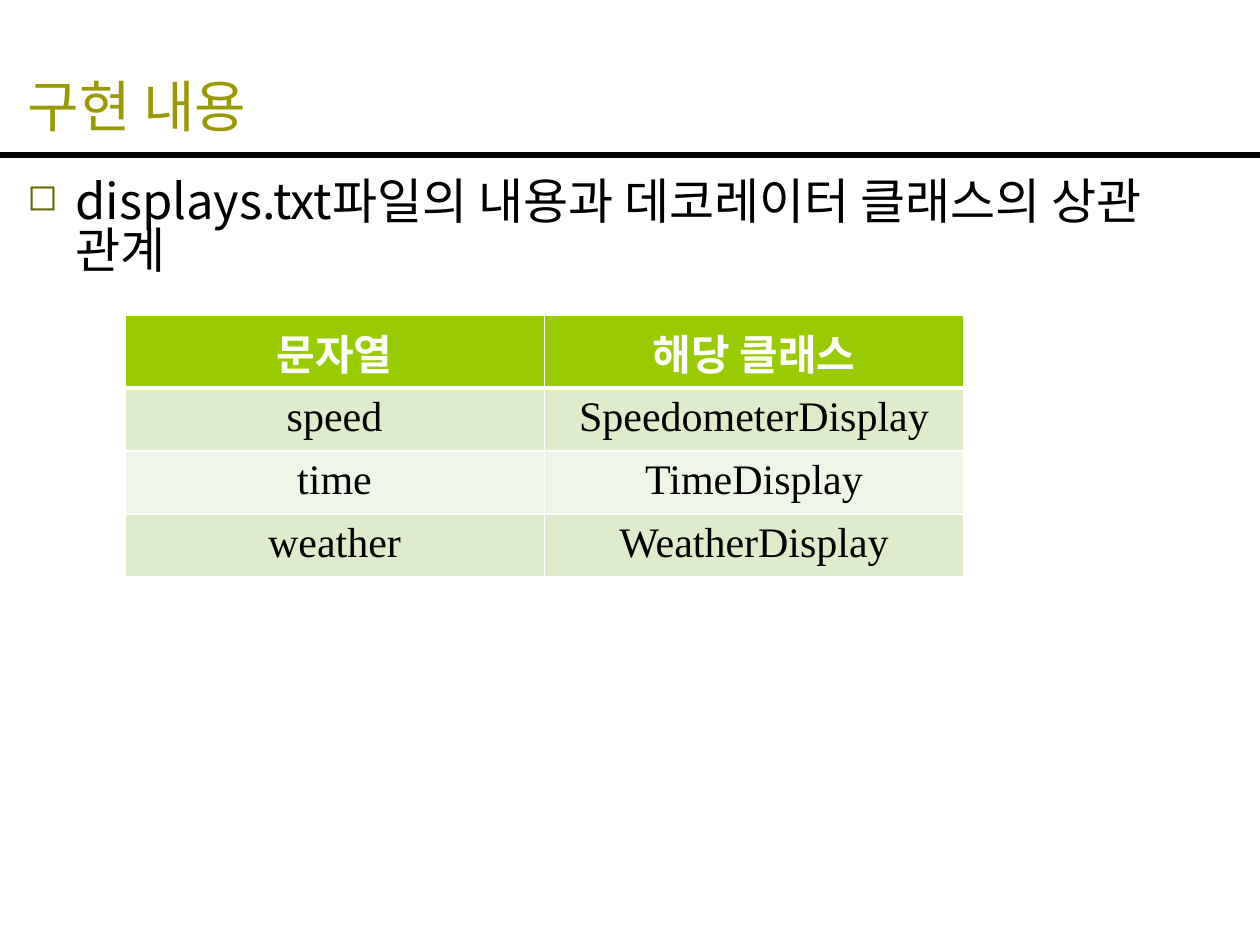
from lxml import etree
from pptx import Presentation
from pptx.dml.color import RGBColor
from pptx.enum import shapes, text
from pptx.oxml import ns
from pptx.util import Inches, Pt

# Content
TITLE = "구현 내용"
POINT = "displays.txt파일의 내용과 데코레이터 클래스의 상관 관계"
CLASS_MAP = [
    ("문자열", "해당 클래스"),
    ("speed", "SpeedometerDisplay"),
    ("time", "TimeDisplay"),
    ("weather", "WeatherDisplay"),
]

THEME = dict(
    title="999900", ink="000000", bullet="666600", white="FFFFFF",
    header="99CC00", bands=("DEECCC", "EFF6E7"),
    title_size=32, body_size=28, table_size=24,
    title_font="Vollkorn", body_font="Noto Sans CJK KR",
    table_font="Times New Roman",
)


def add_xml(parent, tag, **attributes):
    return etree.SubElement(parent, ns.qn(tag), attributes)


def add_run(paragraph, words, part, color, bold=False):
    run = paragraph.add_run()
    run.text = words
    run.font.size = Pt(THEME[part + "_size"])
    run.font.name = THEME[part + "_font"]
    run.font.bold = bold
    run.font.color.rgb = RGBColor.from_string(color)
    add_xml(run.font._element, "a:ea", typeface=THEME["body_font"])


def add_text(slide, top, height, anchor):
    frame = slide.shapes.add_textbox(
        Inches(0.12), Inches(top), Inches(9.76), Inches(height)).text_frame
    frame.word_wrap = True
    frame.vertical_anchor = anchor
    return frame.paragraphs[0]


def add_border(cell, side, width):
    line = add_xml(cell._tc.get_or_add_tcPr(), "a:" + side, w=str(Pt(width)))
    add_xml(add_xml(line, "a:solidFill"), "a:srgbClr", val=THEME["white"])


deck = Presentation()
deck.slide_width, deck.slide_height = Inches(10), Inches(7.5)
slide = deck.slides.add_slide(deck.slide_layouts[6])

# Title and rule
rule = slide.shapes.add_connector(
    shapes.MSO_CONNECTOR.STRAIGHT, 0, Inches(1.23), Inches(10), Inches(1.23))
rule.line.color.rgb = RGBColor.from_string(THEME["ink"])
rule.line.width = Pt(3)
add_xml(rule._element.spPr, "a:effectLst")
heading = add_text(slide, 0.3, 0.85, text.MSO_ANCHOR.BOTTOM)
add_run(heading, TITLE, "title", THEME["title"])

# Bulleted point
point = add_text(slide, 1.39, 5.32, text.MSO_ANCHOR.TOP)
point.line_spacing = 0.82
point.space_before = Pt(5.6)
layout = point._p.get_or_add_pPr()
layout.set("marL", str(Inches(0.38)))
layout.set("indent", str(-Inches(0.38)))
add_xml(add_xml(layout, "a:buClr"), "a:srgbClr", val=THEME["bullet"])
add_xml(layout, "a:buSzPct", val="75000")
add_xml(layout, "a:buChar", char="◻")
add_run(point, POINT, "body", THEME["ink"])

# Class table
row_heights = [0.58] + [0.47] * (len(CLASS_MAP) - 1)
table = slide.shapes.add_table(
    len(CLASS_MAP), 2, Inches(0.99), Inches(2.5),
    Inches(6.66), Inches(sum(row_heights))).table
for column in table.columns:
    column.width = Inches(3.33)
for r, (names, height) in enumerate(zip(CLASS_MAP, row_heights)):
    table.rows[r].height = Inches(height)
    is_header = r == 0
    fill = THEME["header"] if is_header else THEME["bands"][(r - 1) % 2]
    for c, name in enumerate(names):
        cell = table.cell(r, c)
        for side in ("lnL", "lnR", "lnT", "lnB"):
            thick = (r, side) in ((0, "lnB"), (1, "lnT"))
            add_border(cell, side, 3 if thick else 1)
        cell.fill.solid()
        cell.fill.fore_color.rgb = RGBColor.from_string(fill)
        label = cell.text_frame.paragraphs[0]
        label.alignment = text.PP_ALIGN.CENTER
        add_run(label, name, "table",
                THEME["white" if is_header else "ink"], is_header)

deck.save("out.pptx")
